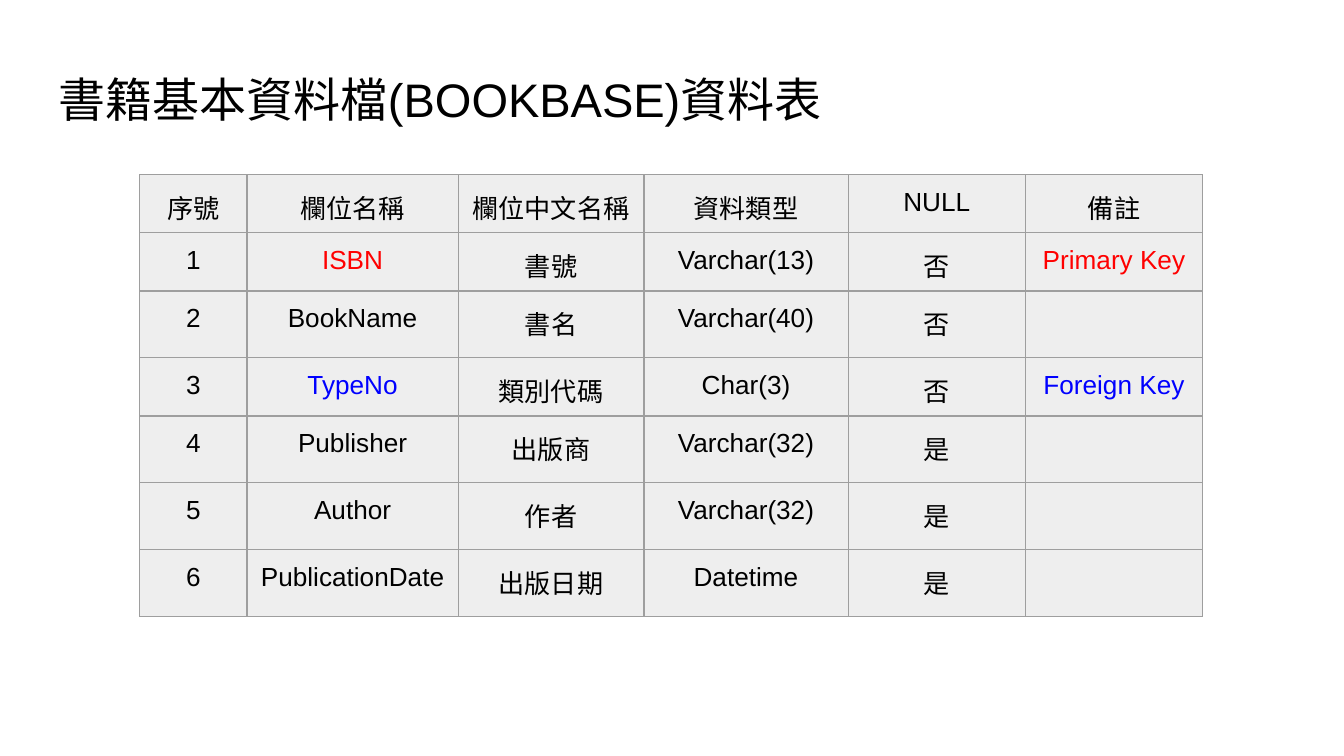
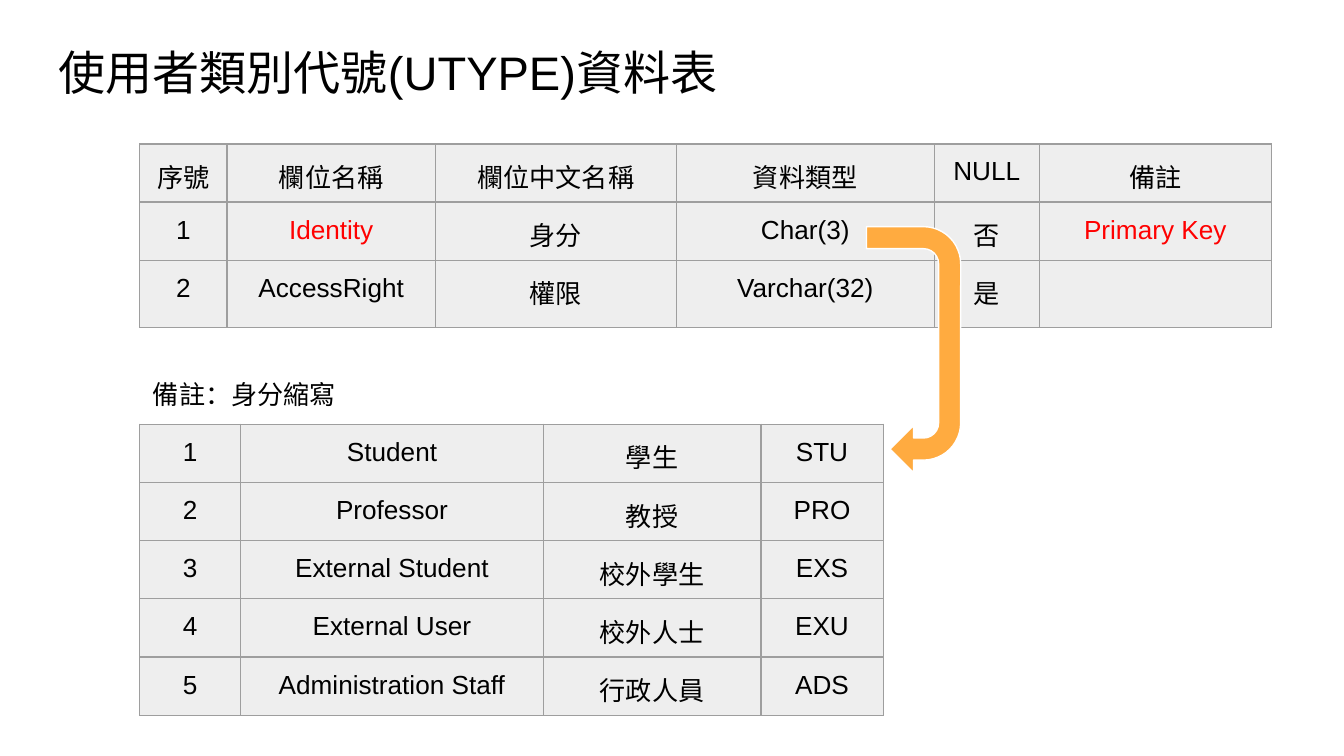
import pptx
import pptx.dml.color
import pptx.enum.shapes
import pptx.enum.text
import pptx.oxml
import pptx.oxml.ns
import pptx.util
from pptx.util import Cm

COLORS = {
    "text": "000000",
    "primary": "FF0000",
    "foreign": "0000FF",
    "cell": "EEEEEE",
    "border": "9E9E9E",
    "arrow": "FFAB40",
    "outline": "FFFFFF",
}
FONT = "Arial"
INSET = Cm(0.25)
TABLE_LEFT = 2.64
KEY_COLORS = {"Primary Key": "primary", "Foreign Key": "foreign"}
HEADER = ["序號", "欄位名稱", "欄位中文名稱", "資料類型", "NULL", "備註"]

BOOK_FIELDS = [
    ["ISBN", "書號", "Varchar(13)", "否", "Primary Key"],
    ["BookName", "書名", "Varchar(40)", "否", ""],
    ["TypeNo", "類別代碼", "Char(3)", "否", "Foreign Key"],
    ["Publisher", "出版商", "Varchar(32)", "是", ""],
    ["Author", "作者", "Varchar(32)", "是", ""],
    ["PublicationDate", "出版日期", "Datetime", "是", ""],
]
USER_TYPE_FIELDS = [
    ["Identity", "身分", "Char(3)", "否", "Primary Key"],
    ["AccessRight", "權限", "Varchar(32)", "是", ""],
]
IDENTITIES = [
    ["Student", "學生", "STU"],
    ["Professor", "教授", "PRO"],
    ["External Student", "校外學生", "EXS"],
    ["External User", "校外人士", "EXU"],
    ["Administration Staff", "行政人員", "ADS"],
]


def rgb(name):
    return pptx.dml.color.RGBColor.from_string(COLORS[name])


def write_text(tf, text, size=14, color="text", align="LEFT"):
    p = tf.paragraphs[0]
    p.alignment = getattr(pptx.enum.text.PP_ALIGN, align)
    r = p.add_run()
    r.text = text
    r.font.name = FONT
    r.font.size = pptx.util.Pt(size)
    r.font.color.rgb = rgb(color)


def add_text(s, box, text, anchor="TOP", **fmt):
    tf = s.shapes.add_textbox(*map(Cm, box)).text_frame
    tf.word_wrap = True
    tf.vertical_anchor = getattr(pptx.enum.text.MSO_ANCHOR, anchor)
    tf.margin_left = tf.margin_right = tf.margin_top = tf.margin_bottom = INSET
    write_text(tf, text, **fmt)


def add_title(s, top, text):
    add_text(s, (0.86, top, 23.67, 1.6), text, anchor="MIDDLE", size=25.2)


def style_cell(cell):
    cell.margin_left = cell.margin_right = INSET
    cell.margin_top = cell.margin_bottom = INSET
    tc_pr = cell._tc.get_or_add_tcPr()
    for side in "LRTB":
        tc_pr.append(pptx.oxml.parse_xml(
            f'<a:ln{side} {pptx.oxml.ns.nsdecls("a")} w="9525"><a:solidFill>'
            f'<a:srgbClr val="{COLORS["border"]}"/></a:solidFill></a:ln{side}>'))
    cell.fill.solid()
    cell.fill.fore_color.rgb = rgb("cell")


def number_rows(rows):
    return [[str(i), *row] for i, row in enumerate(rows, 1)]


def add_grid(s, top, widths, row_height, rows):
    box = (TABLE_LEFT, top, sum(widths), row_height * len(rows))
    table = s.shapes.add_table(len(rows), len(widths), *map(Cm, box)).table
    table.first_row = table.horz_banding = False
    for column, width in zip(table.columns, widths):
        column.width = Cm(width)
    for i, row in enumerate(rows):
        key_color = KEY_COLORS.get(row[-1], "text")
        for j, text in enumerate(row):
            cell = table.cell(i, j)
            style_cell(cell)
            color = key_color if j in (1, len(row) - 1) else "text"
            write_text(cell.text_frame, text, color=color, align="CENTER")


def add_turn_arrow(s, box):
    sp = s.shapes.add_shape(
        pptx.enum.shapes.MSO_SHAPE.U_TURN_ARROW, *map(Cm, box))
    sp.rotation = 90
    for i, value in enumerate((0.234, 0.25, 0.25, 0.396, 0.75)):
        sp.adjustments[i] = value
    sp.shadow.inherit = False
    sp.fill.solid()
    sp.fill.fore_color.rgb = rgb("arrow")
    sp.line.color.rgb = rgb("outline")
    sp.line.width = pptx.util.Pt(0.75)


def build_book_slide(s):
    add_title(s, 1.07, "書籍基本資料檔(BOOKBASE)資料表")
    add_grid(s, 3.3, (2.03, 3.99, 3.51, 3.86, 3.35, 3.35), 1.1,
             [HEADER] + number_rows(BOOK_FIELDS))


def build_user_type_slide(s):
    add_title(s, 0.56, "使用者類別代號(UTYPE)資料表")
    add_grid(s, 2.72, (1.65, 3.94, 4.55, 4.88, 1.98, 4.39), 1.1,
             [HEADER] + number_rows(USER_TYPE_FIELDS))
    add_grid(s, 8.02, (1.91, 5.72, 4.11, 2.31), 1.1, number_rows(IDENTITIES))
    add_turn_arrow(s, (14.94, 5.72, 4.65, 1.78))
    add_text(s, (TABLE_LEFT, 6.91, 4.47, 1.12), "備註：身分縮寫")


def main():
    prs = pptx.Presentation()
    prs.slide_width, prs.slide_height = Cm(25.4), Cm(14.29)
    for build in (build_book_slide, build_user_type_slide):
        build(prs.slides.add_slide(prs.slide_layouts[6]))
    prs.save("out.pptx")


if __name__ == "__main__":
    main()
